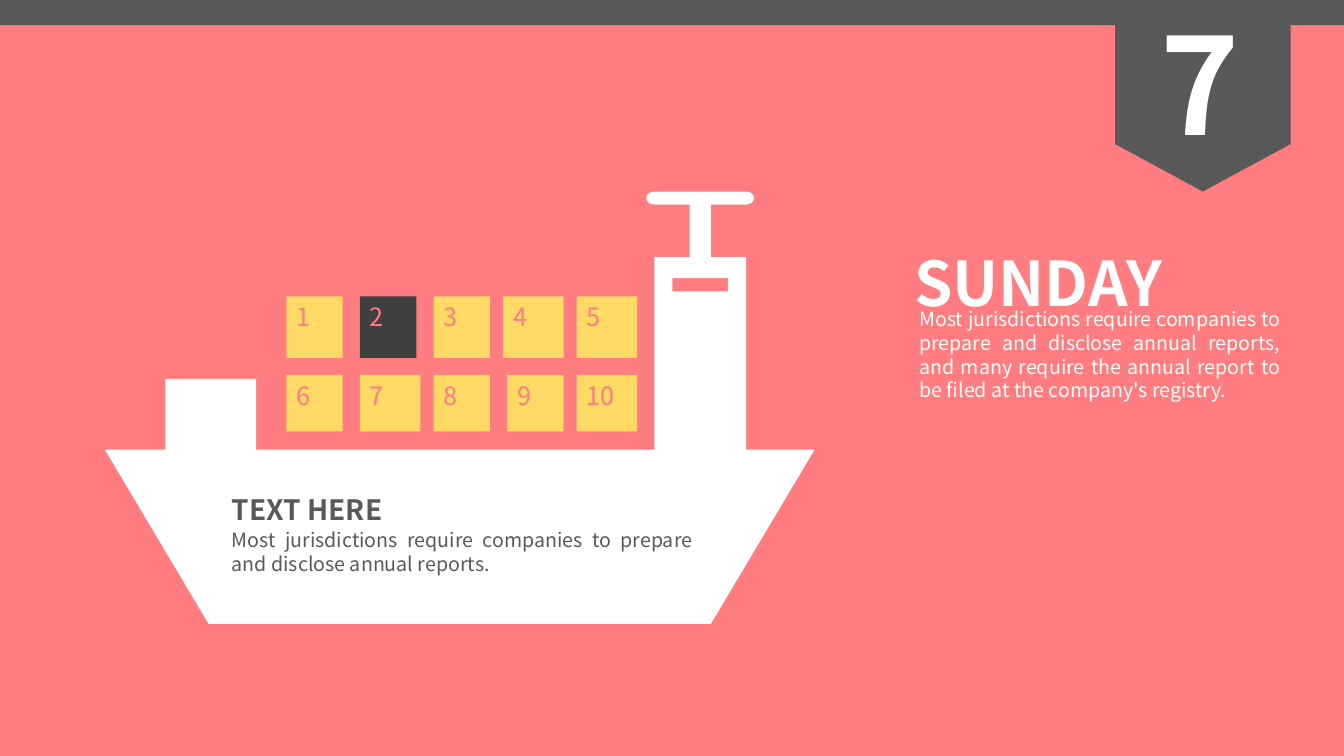
import math
from dataclasses import dataclass

import pptx
import pptx.dml.color
import pptx.enum.shapes
import pptx.enum.text
import pptx.util

Inches = pptx.util.Inches
Pt = pptx.util.Pt
SHAPE = pptx.enum.shapes.MSO_SHAPE
ALIGN = pptx.enum.text.PP_ALIGN


@dataclass(frozen=True)
class Theme:
    font: str = "Noto Sans CJK SC"
    coral: str = "FF7C80"
    gray: str = "595959"
    dark: str = "404040"
    yellow: str = "FFD966"
    white: str = "FFFFFF"
    day_number: int = 96
    day_name: int = 44
    heading: int = 20
    tile: int = 18
    body: int = 14
    line_height: float = 1.2


THEME = Theme()


def rgb(color):
    return pptx.dml.color.RGBColor.from_string(color)


def paint(shape, color):
    shape.shadow.inherit = False
    shape.fill.solid()
    shape.fill.fore_color.rgb = rgb(color)
    shape.line.fill.background()


def add_block(slide, kind, left, top, width, height, color):
    block = slide.shapes.add_shape(
        kind, Inches(left), Inches(top), Inches(width), Inches(height))
    paint(block, color)
    return block


def write(frame, words, size, color, bold=False, align=ALIGN.LEFT):
    frame.text = words
    frame.vertical_anchor = pptx.enum.text.MSO_ANCHOR.TOP
    paragraph = frame.paragraphs[0]
    paragraph.alignment = align
    paragraph.line_spacing = Pt(size * THEME.line_height)
    font = paragraph.runs[0].font
    font.name = THEME.font
    font.size = Pt(size)
    font.bold = bold
    font.color.rgb = rgb(color)


def add_text(slide, left, top, width, height, words, size, color, title=False):
    """Titles are bold and stay on one line; body text is justified."""
    frame = slide.shapes.add_textbox(
        Inches(left), Inches(top), Inches(width), Inches(height)).text_frame
    frame.word_wrap = not title
    frame.auto_size = pptx.enum.text.MSO_AUTO_SIZE.SHAPE_TO_FIT_TEXT
    write(frame, words, size, color, title, ALIGN.LEFT if title else ALIGN.JUSTIFY)


def add_banner(slide, left, top, width, height):
    # Ribbon, turned to point down
    ribbon = add_block(slide, SHAPE.PENTAGON, left + (width - height) / 2,
                       top + (height - width) / 2, height, width, THEME.gray)
    ribbon.rotation = 90
    ribbon.adjustments[0] = 0.27
    # Day number
    add_text(slide, left + 0.35, top - 0.04, 1.03, 1.72, "7",
             THEME.day_number, THEME.white, title=True)
    # Strip along the top edge
    add_block(slide, SHAPE.RECTANGLE, 0, -0.04, 13.33, 0.29, THEME.gray)


def add_day(slide, left, top, width):
    add_text(slide, left, top, 2.87, 0.84, "SUNDAY",
             THEME.day_name, THEME.white, title=True)
    add_text(slide, left + 0.05, top + 0.62, width, 1.28,
             "Most jurisdictions require companies to prepare and disclose annual "
             "reports, and many require the annual report to be filed at the "
             "company's registry.", THEME.body, THEME.white)


def arc(center_x, center_y, radius_x, radius_y, start, steps=8):
    """Points of a half ellipse, from the start angle onward."""
    angles = [math.radians(start + 180 * step / steps) for step in range(steps + 1)]
    return [(center_x + radius_x * math.cos(angle), center_y + radius_y * math.sin(angle))
            for angle in angles]


def add_ship(slide, left, top):
    # Outline, clockwise from the bow cabin, and the bridge window
    cap_y, cap_r = 0.065, 0.065
    outline = [
        (0, 2.56), (0.6, 2.56), (0.6, 1.86), (1.5, 1.86), (1.5, 2.56),
        (5.45, 2.56), (5.45, 0.65), (5.8, 0.65), (5.8, 0.13),
        *arc(5.45, cap_y, 0.08, cap_r, 90),
        *arc(6.36, cap_y, 0.08, cap_r, 270),
        (6.01, 0.13), (6.01, 0.65), (6.36, 0.65), (6.36, 2.56),
        (7.04, 2.56), (6.01, 4.29), (1.03, 4.29)]
    window = [(5.63, 0.86), (5.63, 0.99), (6.18, 0.99), (6.18, 0.86)]

    def place(points):
        return [(Inches(left + x), Inches(top + y)) for x, y in points]

    start, *rest = place(outline)
    builder = slide.shapes.build_freeform(*start)
    builder.add_line_segments(rest, close=True)
    start, *rest = place(window)
    builder.move_to(*start)
    builder.add_line_segments(rest, close=True)
    paint(builder.convert_to_shape(), THEME.white)

    add_cargo(slide, left + 1.8, top + 1.04)

    # Label on the hull
    add_text(slide, left + 1.16, top + 2.94, 1.75, 0.44, "TEXT HERE",
             THEME.heading, THEME.gray, title=True)
    add_text(slide, left + 1.16, top + 3.29, 4.77, 0.57,
             "Most jurisdictions require companies to prepare and disclose annual reports.",
             THEME.body, THEME.gray)


def add_cargo(slide, left, top):
    narrow, wide = 0.56, 0.6
    # Each row: offset from the top, height, and (offset from the left, width) per tile
    rows = [
        (0, 0.61, [(0, narrow), (0.73, narrow), (1.46, narrow), (2.15, wide), (2.88, wide)]),
        (0.78, 0.56, [(0, narrow), (0.73, wide), (1.46, narrow), (2.19, narrow), (2.88, wide)]),
    ]
    number = 0
    for row_top, height, tiles in rows:
        for tile_left, width in tiles:
            number += 1
            color = THEME.dark if number == 2 else THEME.yellow
            tile = add_block(slide, SHAPE.RECTANGLE, left + tile_left, top + row_top,
                             width, height, color)
            write(tile.text_frame, str(number), THEME.tile, THEME.coral)


def main():
    deck = pptx.Presentation()
    deck.slide_width = Inches(13.33)
    deck.slide_height = Inches(7.5)
    slide = deck.slides.add_slide(deck.slide_layouts[6])
    slide.background.fill.solid()
    slide.background.fill.fore_color.rgb = rgb(THEME.coral)

    add_banner(slide, 11.06, 0, 1.74, 1.9)
    add_day(slide, 8.97, 2.38, 3.78)
    add_ship(slide, 1.04, 1.9)
    deck.save("out.pptx")


if __name__ == "__main__":
    main()
